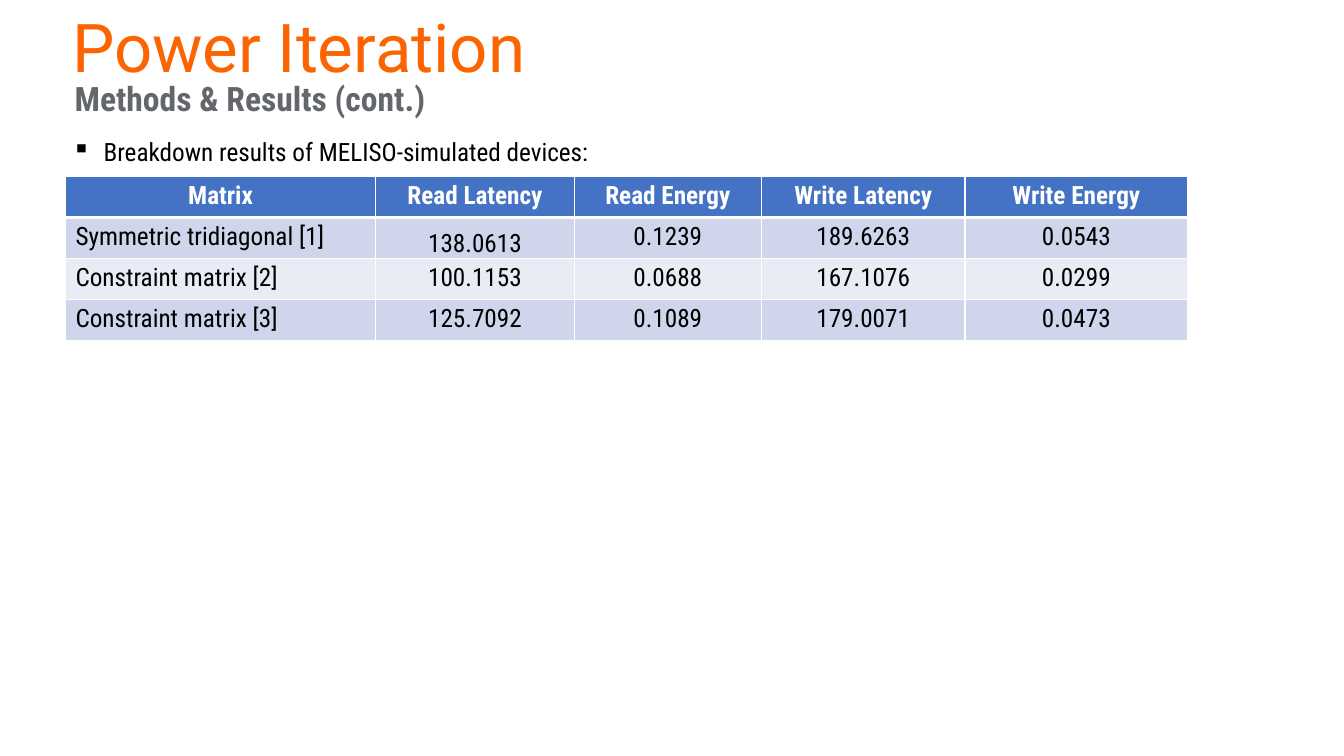
from pptx import Presentation
from pptx.dml.color import RGBColor
from pptx.enum.text import MSO_ANCHOR, PP_ALIGN
from pptx.oxml import parse_xml
from pptx.oxml.ns import nsdecls
from pptx.util import Cm, Pt

ORANGE = RGBColor(0xFB, 0x64, 0x00)
GRAY = RGBColor(0x63, 0x66, 0x6A)
BLACK = RGBColor(0, 0, 0)
WHITE = RGBColor(0xFF, 0xFF, 0xFF)
BLUE = RGBColor(0x44, 0x72, 0xC4)
BANDS = [RGBColor(0xCF, 0xD5, 0xEA), RGBColor(0xE9, 0xEB, 0xF5)]


def write(frame, text, size=18, font="Roboto Condensed", color=BLACK,
          bold=False, align=PP_ALIGN.LEFT):
    frame.word_wrap = True
    para = frame.paragraphs[0]
    para.alignment = align
    run = para.add_run()
    run.text = text
    run.font.size = Pt(size)
    run.font.name = font
    run.font.bold = bold
    run.font.color.rgb = color
    return para


def edge(cell, side, width):
    """Draw a white border on one side (L, R, T or B) of a cell."""
    cell._tc.get_or_add_tcPr().append(parse_xml(
        f'<a:ln{side} {nsdecls("a")} w="{Pt(width)}"><a:solidFill>'
        f'<a:srgbClr val="{WHITE}"/></a:solidFill></a:ln{side}>'))


deck = Presentation()
deck.slide_width, deck.slide_height = Cm(33.87), Cm(19.05)
slide = deck.slides.add_slide(deck.slide_layouts[6])
shapes = slide.shapes

title = shapes.add_textbox(Cm(1.57), Cm(0), Cm(30.66), Cm(2.31))
write(title.text_frame, "Power Iteration", size=48, font="Roboto", color=ORANGE)

head = shapes.add_textbox(Cm(1.63), Cm(1.83), Cm(30.66), Cm(1.27))
write(head.text_frame, "Methods & Results (cont.)", size=24, color=GRAY, bold=True)

body = shapes.add_textbox(Cm(1.57), Cm(3.12), Cm(30.63), Cm(9.75))
para = write(body.text_frame, "Breakdown results of MELISO-simulated devices:")
para.line_spacing = 1.25
props = para._p.get_or_add_pPr()
props.set("marL", str(Cm(0.79)))
props.set("indent", str(-Cm(0.79)))
props.append(parse_xml(f'<a:buChar {nsdecls("a")} char="▪"/>'))

ROWS = [
    ["Matrix", "Read Latency", "Read Energy", "Write Latency", "Write Energy"],
    ["Symmetric tridiagonal [1]", "138.0613", "0.1239", "189.6263", "0.0543"],
    ["Constraint matrix [2]", "100.1153", "0.0688", "167.1076", "0.0299"],
    ["Constraint matrix [3]", "125.7092", "0.1089", "179.0071", "0.0473"],
]
WIDTHS = [7.82, 5, 4.72, 5.13, 5.61]
HIGH = 1.03

table = shapes.add_table(len(ROWS), len(WIDTHS), Cm(1.65), Cm(4.45),
                         Cm(sum(WIDTHS)), Cm(HIGH * len(ROWS))).table
for col, width in zip(table.columns, WIDTHS):
    col.width = Cm(width)

for i, row in enumerate(ROWS):
    table.rows[i].height = Cm(HIGH)
    top = i == 0
    for j, text in enumerate(row):
        cell = table.cell(i, j)
        left = j == 0 and not top
        write(cell.text_frame, text, color=WHITE if top else BLACK, bold=top,
              align=PP_ALIGN.LEFT if left else PP_ALIGN.CENTER)
        edge(cell, "L", 1)
        edge(cell, "R", 1)
        edge(cell, "T", 3 if i == 1 else 1)
        edge(cell, "B", 3 if top else 1)
        cell.fill.solid()
        cell.fill.fore_color.rgb = BLUE if top else BANDS[(i - 1) % 2]

low = table.cell(1, 1)
low.vertical_anchor = MSO_ANCHOR.BOTTOM
low.margin_left = low.margin_right = low.margin_top = Cm(0.03)
low.margin_bottom = Cm(0)

deck.save("out.pptx")
